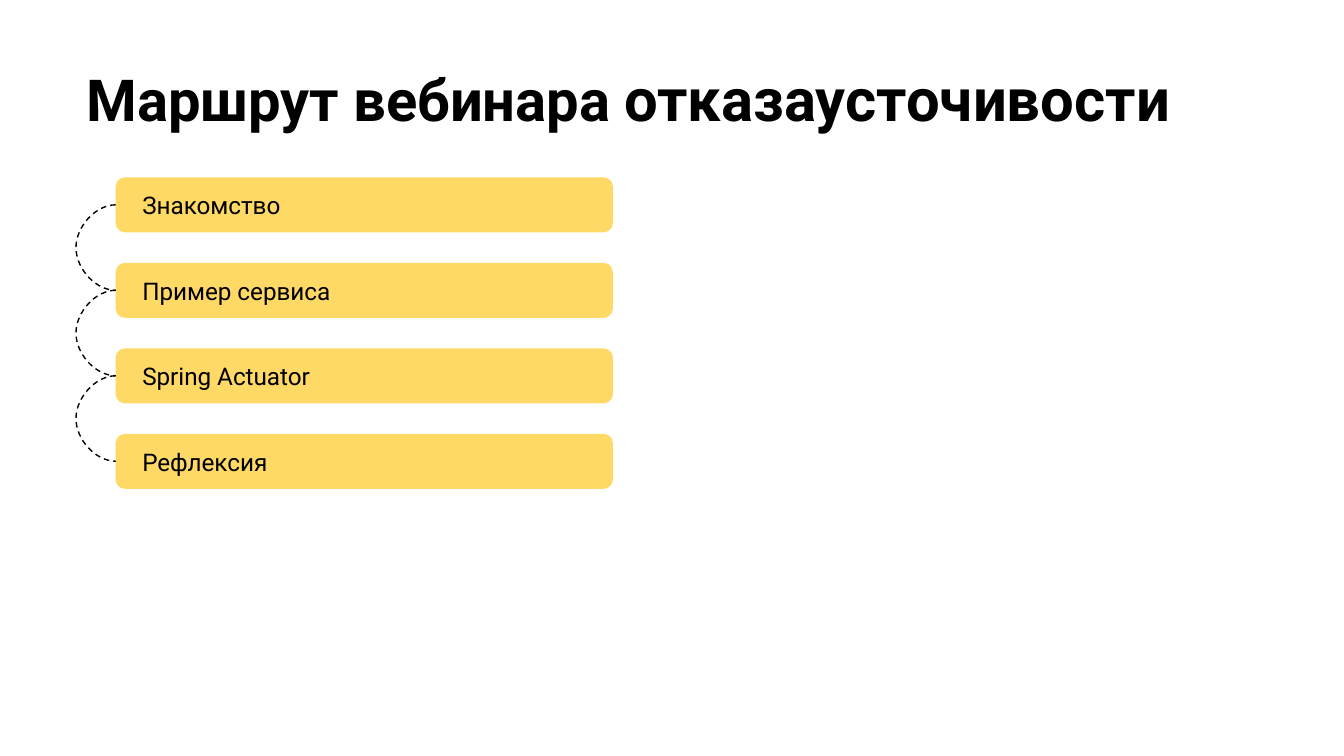
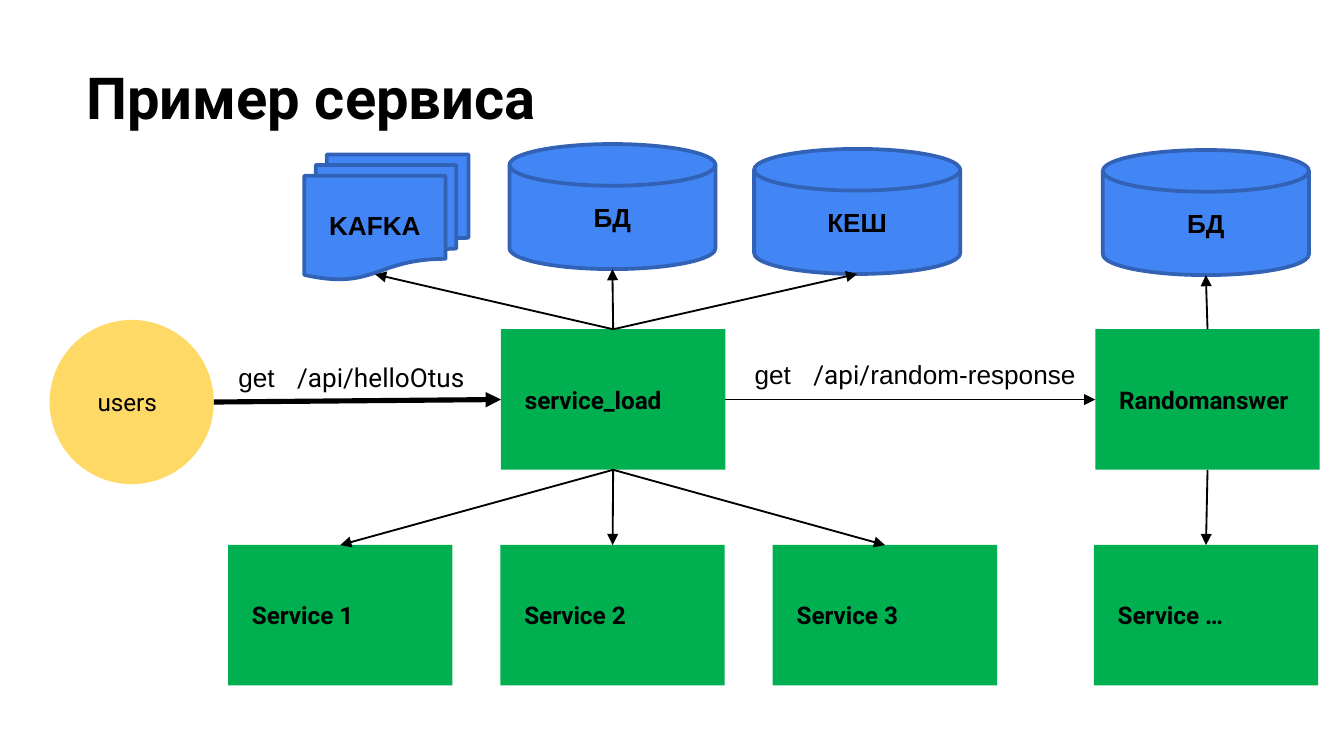
from lxml.etree import SubElement
from pptx import Presentation
from pptx.dml.color import RGBColor
from pptx.enum.dml import MSO_LINE
from pptx.enum.shapes import MSO_CONNECTOR as Link, MSO_SHAPE as Form
from pptx.enum.text import MSO_ANCHOR as Anchor, PP_ALIGN as Align
from pptx.oxml.ns import qn
from pptx.util import Pt

# Shared look
COLORS = {"ink": "000000", "yellow": "FFD966", "green": "00B050",
          "blue": "4285F4", "navy": "3162B5", "paper": "FFFFFF"}
MAIN, SECOND = "Roboto", "Arial"
TITLE_BOX = (39.3, 25.9, 671, 86.4)
WIDE, EVEN, TIGHT = (12.8, 7.2), (7.2, 7.2), (7.2, 3.6)

# Slide 1: route
ROUTE_TITLE = [("Маршрут вебинара ", 31), ("отказаусточивости", 32)]
STEPS = ["Знакомство", "Пример сервиса", "Spring Actuator", "Рефлексия"]
STEP_BOX, STEP_PITCH = (62, 95, 266.4, 29.5), 45.8
ARC_DEPTH, ARC_WIDTH = 18.75, 0.05

# Slide 2: service map
MAP_TITLE = [("Пример сервиса", 31)]
USERS = ("users", (26.6, 171.4, 88, 88))
SERVICE_SIZE, DISK_SIZE = (120.2, 75.3), (110.4, 67)
ROW_LEFT, ROW_TOP, ROW_PITCH = 122.2, 292, 145.9
SERVICES = {"load": ("service_load", 268.4, 176.4),
            "random": ("Randomanswer", 586.8, 176.4),
            "more": ("Service …", 586, ROW_TOP)}
for index in range(3):
    SERVICES[index] = (f"Service {index + 1}", ROW_LEFT + index * ROW_PITCH, ROW_TOP)
DISKS = {"base": ("БД", 272.9, 77.2), "cache": ("КЕШ", 404, 79.8),
         "random base": ("БД", 590.8, 80.4)}
QUEUE = ("KAFKA", (163, 82.8, 88, 67))
QUEUE_PORT = (201, 147)
REQUEST_TAB = 31.5
REQUESTS = [
    ((120.6, 190, 136, 24.5), [("get\t", SECOND), ("/api/helloOtus", MAIN)]),
    ((397.2, 188.6, 186.5, 24.5),
     [("get\t", SECOND), ("/api/", MAIN), ("random-response", SECOND)]),
]
ARROWS = [
    ("users", "right", "load", "left", 2.75),
    ("load", "right", "random", "left", 1),
    *[("load", "bottom", row, "top", 1) for row in range(3)],
    ("load", "top", "base", "bottom", 1),
    ("load", "top", "cache", "bottom", 1),
    ("random", "top", "random base", "bottom", 1),
    ("random", "bottom", "more", "top", 1),
    ("load", "top", "queue", "port", 1),
]


def color(name):
    return RGBColor.from_string(COLORS[name])


def set_frame(shape, insets, anchor):
    frame = shape.text_frame
    frame.word_wrap = True
    frame.vertical_anchor = anchor
    frame.margin_left = frame.margin_right = Pt(insets[0])
    frame.margin_top = frame.margin_bottom = Pt(insets[1])
    return frame.paragraphs[0]


def add_span(para, text, size, font=MAIN, bold=False):
    span = para.add_run()
    span.text = text
    span.font.size, span.font.name, span.font.bold = Pt(size), font, bold
    span.font.color.rgb = color("ink")


def add_page(deck, title):
    page = deck.slides.add_slide(deck.slide_layouts[6])
    page.background.fill.solid()
    page.background.fill.fore_color.rgb = color("paper")
    box = page.shapes.add_textbox(*map(Pt, TITLE_BOX))
    para = set_frame(box, EVEN, Anchor.TOP)
    for text, size in title:
        add_span(para, text, size, bold=True)
    return page


def add_block(page, form, place, fill, text, bold=False):
    """Block with left-aligned text and no outline."""
    block = page.shapes.add_shape(form, *map(Pt, place))
    block.shadow.inherit = False
    block.fill.solid()
    block.fill.fore_color.rgb = color(fill)
    block.line.fill.background()
    para = set_frame(block, WIDE, Anchor.MIDDLE)
    para.alignment = Align.LEFT
    add_span(para, text, 13, bold=bold)
    return block


def add_store(page, form, place, text):
    """Outlined blue store with a centred label."""
    store = page.shapes.add_shape(form, *map(Pt, place))
    store.shadow.inherit = False
    store.fill.solid()
    store.fill.fore_color.rgb = color("blue")
    store.line.color.rgb = color("navy")
    store.line.width = Pt(2)
    para = set_frame(store, TIGHT, Anchor.MIDDLE)
    para.alignment = Align.CENTER
    add_span(para, text, 14, SECOND, bold=True)


def style_link(link, width):
    link.line.color.rgb = color("ink")
    link.line.width = Pt(width)
    SubElement(link.element.spPr, qn("a:effectLst"))


def add_arc(page, upper, lower):
    """Dashed curve joining the left edges of two steps."""
    start, end = (bar.top + bar.height // 2 for bar in (upper, lower))
    arc = page.shapes.add_connector(Link.CURVE, upper.left, start,
                                    lower.left + Pt(ARC_WIDTH), end)
    arc.begin_connect(upper, 1)
    arc.end_connect(lower, 1)
    arc.width = Pt(ARC_WIDTH)
    bends = arc.element.spPr.find(qn("a:prstGeom")).get_or_add_avLst()
    bend = round(-ARC_DEPTH / ARC_WIDTH * 100000)
    SubElement(bends, qn("a:gd"), name="adj1", fmla=f"val {bend}")
    style_link(arc, 0.75)
    arc.line.dash_style = MSO_LINE.DASH


def edge_point(place, side):
    left, top, width, height = place
    return {"left": (left, top + height / 2),
            "right": (left + width, top + height / 2),
            "top": (left + width / 2, top),
            "bottom": (left + width / 2, top + height),
            "port": QUEUE_PORT}[side]


def add_arrow(page, start, end, width):
    arrow = page.shapes.add_connector(Link.STRAIGHT, *map(Pt, (*start, *end)))
    style_link(arrow, width)
    SubElement(arrow.get_or_add_ln(), qn("a:tailEnd"), type="triangle")


def add_request(page, place, parts):
    box = page.shapes.add_textbox(*map(Pt, place))
    para = set_frame(box, TIGHT, Anchor.TOP)
    box.text_frame.margin_right = 0
    tabs = SubElement(para._p.get_or_add_pPr(), qn("a:tabLst"))
    SubElement(tabs, qn("a:tab"), pos=str(int(Pt(REQUEST_TAB))), algn="l")
    for text, font in parts:
        add_span(para, text, 14, font)


def build_route(deck):
    page = add_page(deck, ROUTE_TITLE)
    left, top, width, height = STEP_BOX
    bars = []
    for index, text in enumerate(STEPS):
        place = (left, top + index * STEP_PITCH, width, height)
        bar = add_block(page, Form.ROUNDED_RECTANGLE, place, "yellow", text)
        bar.adjustments[0] = 0.17
        bars.append(bar)
    for upper, lower in zip(bars, bars[1:]):
        add_arc(page, upper, lower)


def build_map(deck):
    page = add_page(deck, MAP_TITLE)
    places = {"users": USERS[1], "queue": QUEUE[1]}
    add_block(page, Form.FLOWCHART_CONNECTOR, USERS[1], "yellow", USERS[0])
    for key, (text, left, top) in SERVICES.items():
        places[key] = (left, top, *SERVICE_SIZE)
        add_block(page, Form.RECTANGLE, places[key], "green", text, bold=True)
    for key, (text, left, top) in DISKS.items():
        places[key] = (left, top, *DISK_SIZE)
        add_store(page, Form.FLOWCHART_MAGNETIC_DISK, places[key], text)
    add_store(page, Form.FLOWCHART_MULTIDOCUMENT, QUEUE[1], QUEUE[0])
    for place, parts in REQUESTS:
        add_request(page, place, parts)
    for source, exit_side, target, entry_side, width in ARROWS:
        add_arrow(page, edge_point(places[source], exit_side),
                  edge_point(places[target], entry_side), width)


def main():
    deck = Presentation()
    deck.slide_width, deck.slide_height = Pt(720), Pt(405)
    build_route(deck)
    build_map(deck)
    deck.save("out.pptx")


if __name__ == "__main__":
    main()
